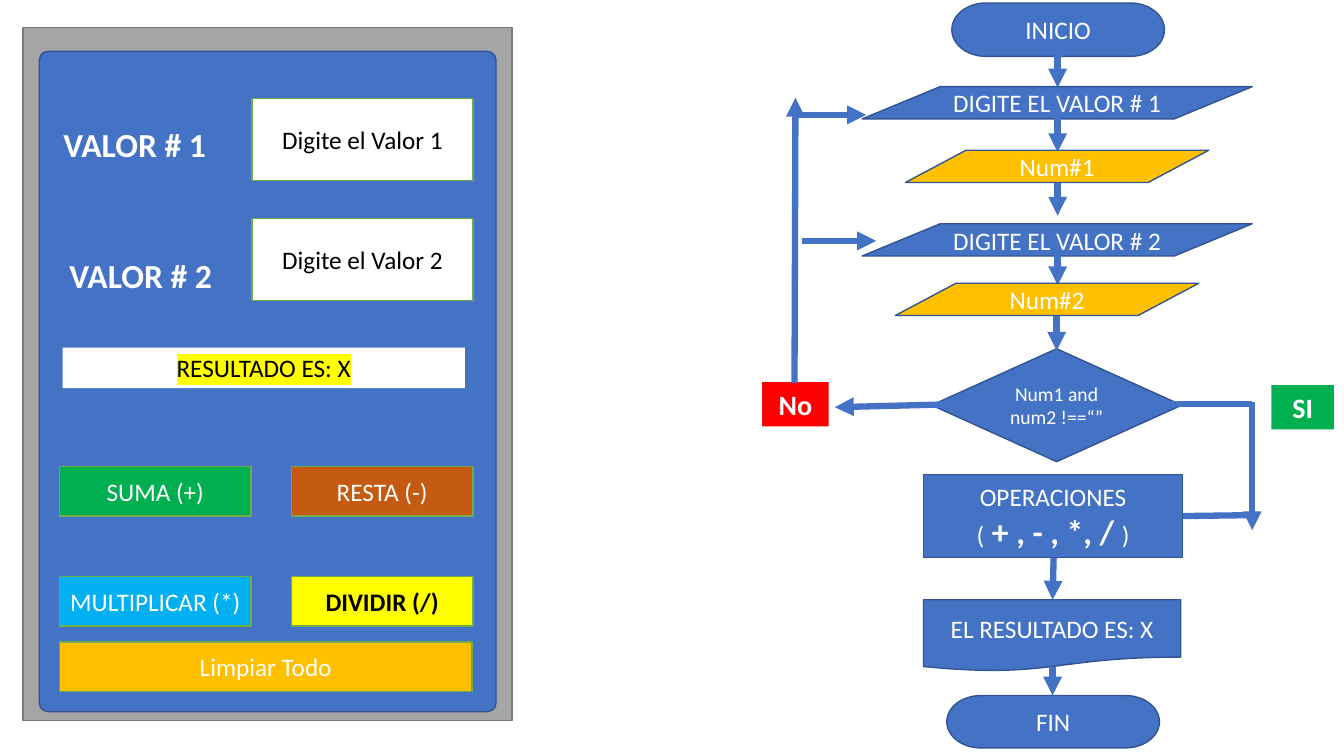
from pptx import Presentation
from pptx.util import Inches, Pt
from pptx.dml.color import RGBColor
from pptx.enum import shapes, text
from pptx.oxml import ns, xmlchemy

HEX = {
    "white": "FFFFFF", "black": "000000", "gray": "A5A5A5", "edge": "7A7A7A",
    "blue": "4472C4", "navy": "325491", "lime": "70AD47", "green": "00B050",
    "sky": "00B0F0", "rust": "C55A11", "yellow": "FFFF00", "gold": "FFC000",
    "red": "FF0000",
}
KIND = shapes.MSO_SHAPE
ALIGN = text.PP_ALIGN


def write(words, para, size=18, bold=False, color="white", mark=None):
    run = para.add_run()
    run.text = words
    font = run.font
    font.name, font.size, font.bold = "Calibri", Pt(size), bold
    font.color.rgb = RGBColor.from_string(HEX[color])
    if mark:
        glow = xmlchemy.OxmlElement("a:highlight")
        tint = xmlchemy.OxmlElement("a:srgbClr")
        tint.set("val", HEX[mark])
        glow.append(tint)
        run._r.rPr.find(ns.qn("a:solidFill")).addnext(glow)


def box(group, kind, at, fill, line, words="", **form):
    shape = group.shapes.add_shape(kind, *map(Inches, at))
    shape.shadow.inherit = False
    shape.fill.solid()
    shape.fill.fore_color.rgb = RGBColor.from_string(HEX[fill])
    if line:
        shape.line.color.rgb = RGBColor.from_string(HEX[line])
        shape.line.width = Pt(1)
    else:
        shape.line.fill.background()
    frame = shape.text_frame
    frame.word_wrap = True
    frame.vertical_anchor = text.MSO_ANCHOR.MIDDLE
    frame.paragraphs[0].alignment = ALIGN.CENTER
    if words:
        write(words, frame.paragraphs[0], **form)
    return shape


deck = Presentation()
deck.slide_width, deck.slide_height = Inches(13.33), Inches(7.5)
slide = deck.slides.add_slide(deck.slide_layouts[6])

panel = slide.shapes.add_group_shape()
box(panel, KIND.RECTANGLE, (0.23, 0.27, 4.85, 6.88), "gray", "edge")
body = box(panel, KIND.ROUNDED_RECTANGLE, (0.39, 0.51, 4.53, 6.55), "blue", "navy")
body.adjustments[0] = 0.019

for num, top, left, high in [(1, 0.98, 0.53, 1.18), (2, 2.17, 0.59, 2.48)]:
    box(panel, KIND.RECTANGLE, (2.5, top, 2.19, 0.81), "white", "lime",
        f"Digite el Valor {num}", color="black")
    label = panel.shapes.add_textbox(*map(Inches, (left, high, 1.8, 0.5)))
    label.text_frame.word_wrap = True
    write(f"VALOR # {num}", label.text_frame.paragraphs[0], size=24, bold=True)

box(panel, KIND.RECTANGLE, (0.62, 3.45, 3.99, 0.4), "white", None,
    "RESULTADO ES: X", color="black", mark="yellow")

keys = [
    ("SUMA (+)", 0.59, 4.63, 1.9, "green", {}),
    ("MULTIPLICAR (*)", 0.59, 5.72, 1.9, "sky", {}),
    ("RESTA (-)", 2.89, 4.63, 1.8, "rust", {}),
    ("DIVIDIR (/)", 2.89, 5.72, 1.8, "yellow", {"color": "black", "bold": True}),
    ("Limpiar Todo", 0.59, 6.37, 4.09, "gold", {}),
]
for words, left, top, width, fill, form in keys:
    box(panel, KIND.RECTANGLE, (left, top, width, 0.49), fill, "lime", words, **form)

flow = slide.shapes.add_group_shape()
steps = [
    ("INICIO", KIND.FLOWCHART_TERMINATOR, (9.44, 0.03, 2.11, 0.53), 18),
    ("FIN", KIND.FLOWCHART_TERMINATOR, (9.39, 6.9, 2.11, 0.52), 18),
    ("EL RESULTADO ES: X", KIND.FLOWCHART_DOCUMENT, (9.16, 5.95, 2.55, 0.71), 18),
    ("Num1 and num2 !==“”", KIND.FLOWCHART_DECISION, (9.24, 3.46, 2.48, 1.12), 14),
    ("DIGITE EL VALOR # 1", KIND.FLOWCHART_DATA, (8.55, 0.86, 3.87, 0.32), 18),
    ("DIGITE EL VALOR # 2", KIND.FLOWCHART_DATA, (8.55, 2.22, 3.87, 0.32), 18),
]
for words, kind, at, size in steps:
    box(flow, kind, at, "blue", "navy", words, size=size)

for words, left, top, width, fill in [
    ("No", 7.56, 3.79, 0.66, "red"),
    ("SI", 12.61, 3.82, 0.62, "green"),
]:
    box(flow, KIND.RECTANGLE, (left, top, width, 0.44), fill, None, words,
        size=20, bold=True)

links = [
    (10.49, 0.55, 10.49, 0.87, True),
    (10.49, 1.17, 10.49, 1.51, True),
    (10.49, 1.78, 10.49, 2.14, True),
    (9.48, 4.01, 8.28, 4.04, True),
    (7.88, 3.8, 7.89, 0.97, True),
    (7.91, 1.14, 8.59, 1.14, True),
    (7.95, 2.39, 8.69, 2.39, True),
    (10.44, 6.62, 10.44, 6.9, True),
    (10.49, 2.47, 10.49, 2.83, True),
    (10.48, 3.12, 10.48, 3.48, True),
    (12.42, 3.99, 12.42, 5.26, True),
    (11.25, 4.01, 12.42, 4.01, False),
    (11.73, 5.12, 12.47, 5.11, False),
    (10.45, 5.53, 10.44, 5.95, True),
]
for *ends, arrow in links:
    link = flow.shapes.add_connector(shapes.MSO_CONNECTOR.STRAIGHT, *map(Inches, ends))
    link.line.color.rgb = RGBColor.from_string(HEX["blue"])
    link.line.width = Pt(4.5)
    if arrow:
        tip = xmlchemy.OxmlElement("a:tailEnd")
        tip.set("type", "triangle")
        link.line._get_or_add_ln().append(tip)
    link._element.spPr.append(xmlchemy.OxmlElement("a:effectLst"))

for num, left, top in [(1, 8.98, 1.49), (2, 8.88, 2.81)]:
    box(flow, KIND.FLOWCHART_DATA, (left, top, 3.01, 0.32), "gold", "navy", f"Num#{num}")

maths = box(flow, KIND.FLOWCHART_PROCESS, (9.16, 4.71, 2.57, 0.82), "blue", "navy",
            "OPERACIONES")
signs = maths.text_frame.add_paragraph()
signs.alignment = ALIGN.CENTER
write("(", signs)
write(" + , - , *, / ", signs, size=24, bold=True)
write(")", signs)

deck.save("out.pptx")
